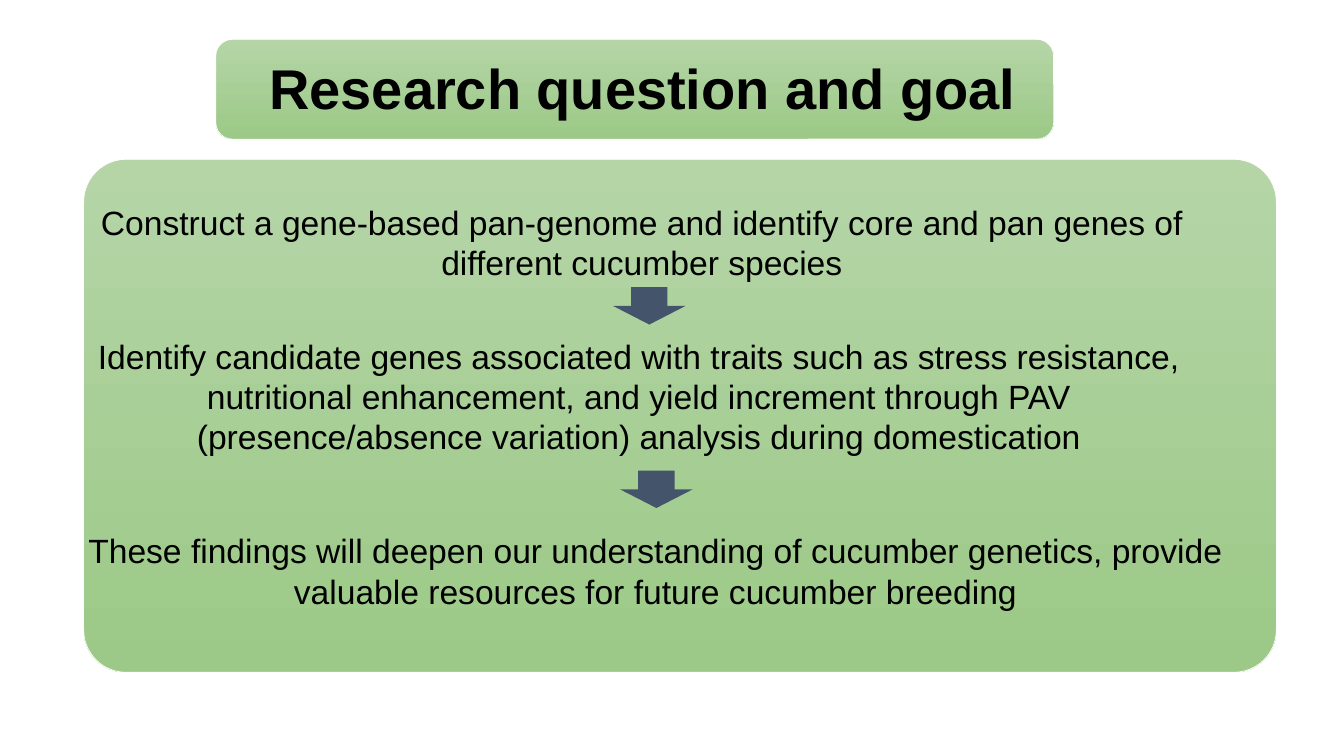
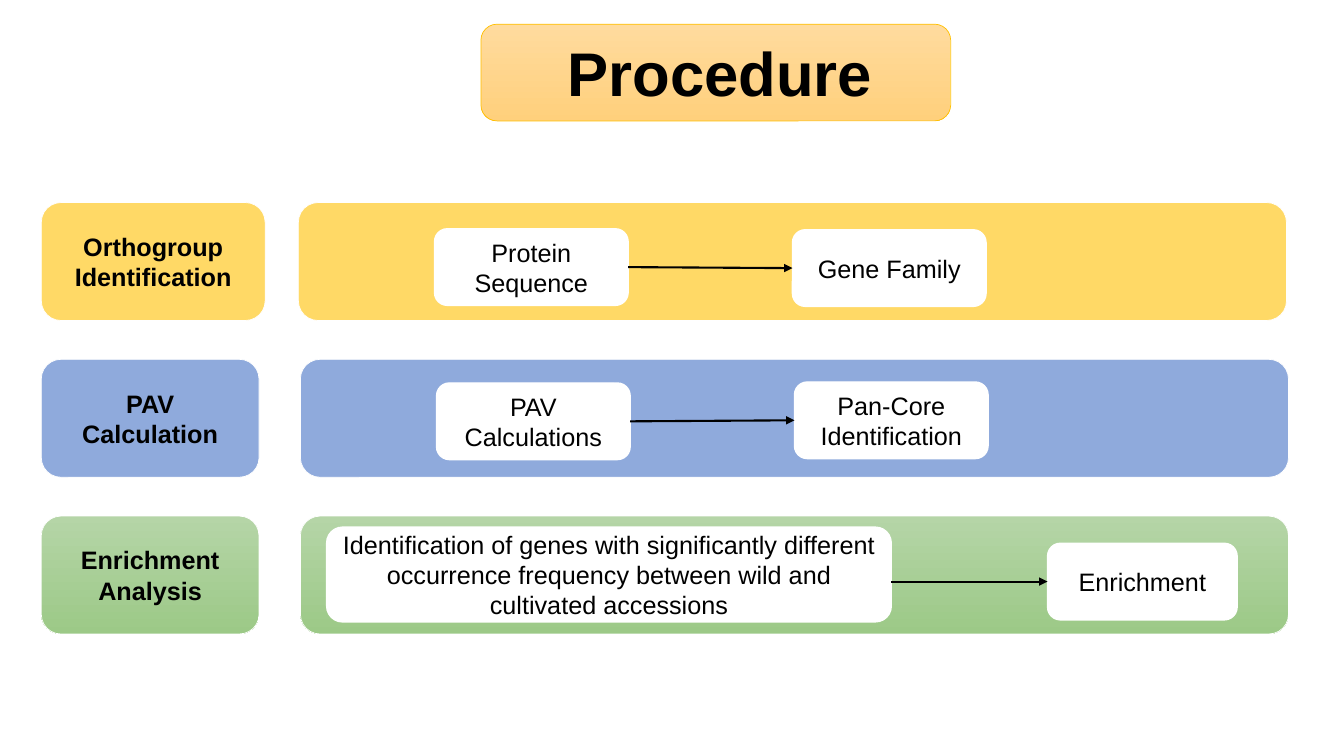
from lxml import etree
from pptx import Presentation, util as u
from pptx.dml.color import RGBColor
from pptx.enum import shapes, text
from pptx.oxml.ns import qn

FONT = "Arial"
COLORS = {
    "black": "000000", "white": "FFFFFF", "slate": "44546A", "gold": "FFC000",
    "yellow": "FFD966", "blue": "8FAADC",
    "green": ("B5D5A7", "9CC987"), "orange": ("FFDB9E", "FFD07C"),
}

GOALS = [
    ("Construct a gene-based pan-genome and identify core and pan genes of "
     "different cucumber species", (0.67, 1.95, 11.39, 0.91)),
    ("Identify candidate genes associated with traits such as stress resistance, "
     "nutritional enhancement, and yield increment through PAV "
     "(presence/absence variation) analysis during domestication",
     (0.6, 3.28, 11.47, 1.31)),
    ("These findings will deepen our understanding of cucumber genetics, provide "
     "valuable resources for future cucumber breeding", (0.28, 5.21, 12.44, 0.91)),
]
GOAL_ARROWS = [(6.08, 2.85), (6.15, 4.67)]
GOAL_ARROW_SIZE = (0.72, 0.37)

BAND_LEFT, BAND_WIDTH, BAND_HEIGHT = 0.41, 9.8, 1.17
FIRST_BAND_TOP, BAND_PITCH = 2.01, 1.555
STEP = (1.92, 0.76)
STAGES = [
    {"label": "Orthogroup\nIdentification", "color": "yellow",
     "label_width": 2.22, "panel_left": 2.96,
     "steps": [("Protein Sequence", 4.31, 2.65, STEP),
               ("Gene Family", 7.86, 2.66, STEP)]},
    {"label": "PAV\nCalculation", "color": "blue",
     "label_width": 2.16, "panel_left": 2.98,
     "steps": [("PAV Calculations", 4.33, 4.18, STEP),
               ("Pan-Core Identification", 7.88, 4.17, STEP)]},
    {"label": "Enrichment Analysis", "color": "green",
     "label_width": 2.16, "panel_left": 2.98,
     "steps": [("Identification of genes with significantly different occurrence "
                "frequency between wild and cultivated accessions",
                3.24, 5.7, (5.6, 0.94)),
               ("Enrichment", 10.39, 5.77, (1.88, 0.76))]},
]


def rgb(name):
    return RGBColor.from_string(COLORS[name])


def inches(values):
    return [u.Inches(value) for value in values]


def write(shape, words, size=18, bold=False, align=text.PP_ALIGN.CENTER,
          anchor=text.MSO_ANCHOR.MIDDLE, spacing=1.0):
    frame = shape.text_frame
    frame.word_wrap = True
    frame.auto_size = text.MSO_AUTO_SIZE.NONE
    frame.vertical_anchor = anchor
    paragraph = frame.paragraphs[0]
    paragraph.text = words
    paragraph.alignment = align
    paragraph.line_spacing = spacing
    for run in paragraph.runs:
        run.font.name = FONT
        run.font.size = u.Pt(size)
        run.font.bold = bold
        run.font.color.rgb = rgb("black")


def add_block(slide, box, color, line="white", line_width=0.5,
              preset=shapes.MSO_SHAPE.ROUNDED_RECTANGLE):
    block = slide.shapes.add_shape(preset, *inches(box))
    block.shadow.inherit = False
    if isinstance(COLORS[color], tuple):
        block.fill.gradient()
        block.fill.gradient_angle = 270
        for stop, shade in zip(block.fill.gradient_stops, COLORS[color]):
            stop.color.rgb = RGBColor.from_string(shade)
        for stop, position in zip(block.fill.gradient_stops, (0, 1)):
            stop.position = position
    else:
        block.fill.solid()
        block.fill.fore_color.rgb = rgb(color)
    if line:
        block.line.color.rgb = rgb(line)
        block.line.width = u.Pt(line_width)
    else:
        block.line.fill.background()
    return block


def add_titled_slide(deck, words, size, title_box, banner_box, color, line):
    slide = deck.slides.add_slide(deck.slide_layouts[5])
    add_block(slide, banner_box, color, line)
    title = slide.shapes.title
    title.left, title.top, title.width, title.height = inches(title_box)
    write(title, words, size=size, bold=True, align=text.PP_ALIGN.LEFT, spacing=0.9)
    slide.shapes._spTree.append(title._element)
    return slide


def add_step_arrow(slide, source, target):
    middle = target.top + target.height // 2
    arrow = slide.shapes.add_connector(
        shapes.MSO_CONNECTOR.STRAIGHT,
        source.left + source.width, middle, target.left, middle)
    if source.height == target.height:
        arrow.begin_connect(source, 3)
    arrow.end_connect(target, 1)
    arrow.line.color.rgb = rgb("black")
    arrow.line.width = u.Pt(1.5)
    etree.SubElement(arrow.line._get_or_add_ln(), qn("a:tailEnd"), type="triangle")
    etree.SubElement(arrow._element.spPr, qn("a:effectLst"))


def build_goals(deck):
    slide = add_titled_slide(deck, "Research question and goal", 40,
                             (2.57, 0.18, 7.87, 1.45), (2.14, 0.39, 8.31, 0.99),
                             "green", "white")
    panel = add_block(slide, (0.83, 1.58, 11.83, 5.09), "green")
    panel.adjustments[0] = 0.083
    for words, box in GOALS:
        write(slide.shapes.add_textbox(*inches(box)), words, size=24,
              anchor=text.MSO_ANCHOR.TOP)
    for corner in GOAL_ARROWS:
        add_block(slide, corner + GOAL_ARROW_SIZE, "slate", line=None,
                  preset=shapes.MSO_SHAPE.DOWN_ARROW)


def build_procedure(deck):
    slide = add_titled_slide(deck, "Procedure", 44,
                             (5.53, 0.03, 3.5, 1.45), (4.77, 0.24, 4.66, 0.96),
                             "orange", "gold")
    for row, stage in enumerate(STAGES):
        top = FIRST_BAND_TOP + row * BAND_PITCH
        label = add_block(
            slide, (BAND_LEFT, top, stage["label_width"], BAND_HEIGHT), stage["color"])
        write(label, stage["label"], bold=True)
        add_block(slide, (stage["panel_left"], top, BAND_WIDTH, BAND_HEIGHT),
                  stage["color"])
        steps = []
        for words, left, middle, (width, height) in stage["steps"]:
            step = add_block(slide, (left, middle - height / 2, width, height),
                             "white", line_width=1)
            write(step, words)
            steps.append(step)
        add_step_arrow(slide, *steps)


def main():
    deck = Presentation()
    deck.slide_width, deck.slide_height = inches((13.33, 7.5))
    build_goals(deck)
    build_procedure(deck)
    deck.save("out.pptx")


if __name__ == "__main__":
    main()
